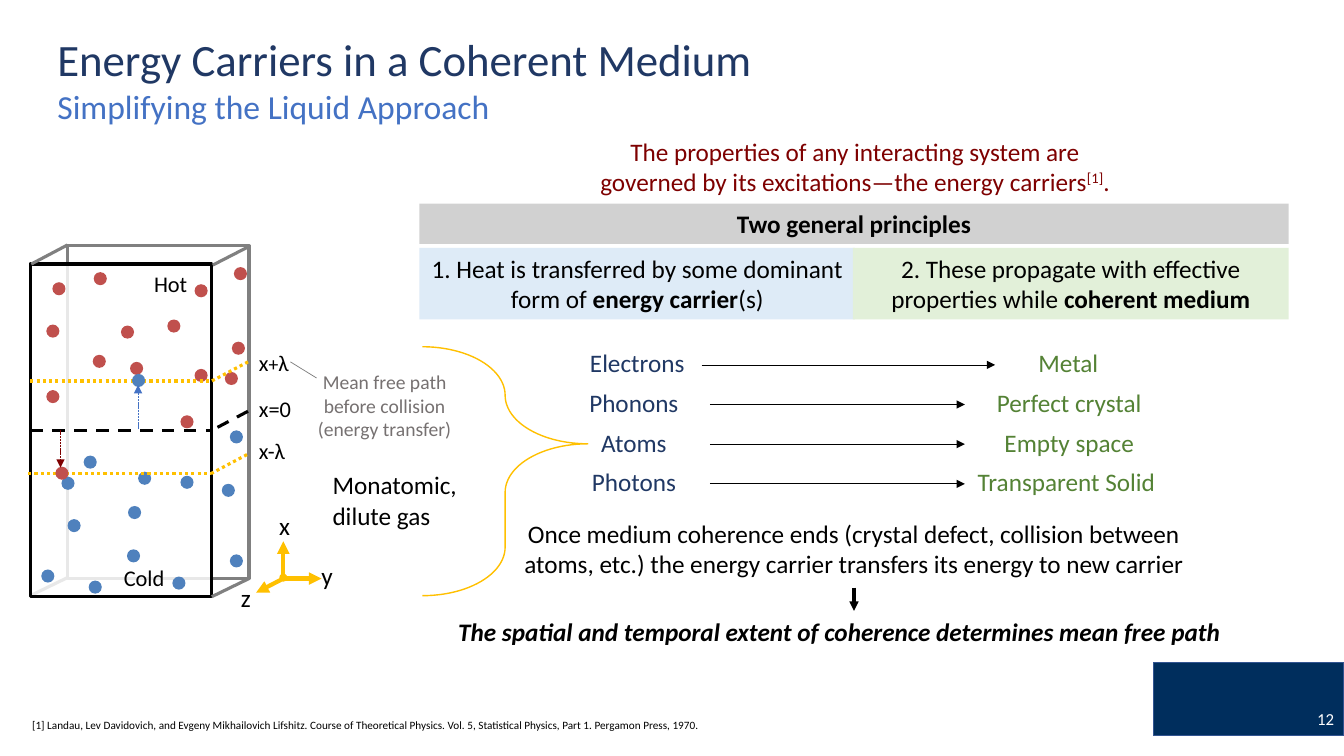
import pptx
import pptx.dml.color
import pptx.enum.dml
import pptx.enum.shapes
import pptx.enum.text
import pptx.oxml.ns
import pptx.util
from lxml import etree

Inches = pptx.util.Inches
Color = pptx.dml.color.RGBColor
Shape = pptx.enum.shapes.MSO_SHAPE
Align = pptx.enum.text.PP_ALIGN
Anchor = pptx.enum.text.MSO_ANCHOR
Dash = pptx.enum.dml.MSO_LINE
qn = pptx.oxml.ns.qn

BLACK = Color(0x00, 0x00, 0x00)
WHITE = Color(0xFF, 0xFF, 0xFF)
NAVY = Color(0x20, 0x38, 0x64)
BLUE = Color(0x44, 0x72, 0xC4)
FOOTER_FILL = Color(0x00, 0x2E, 0x5D)
FOOTER_LINE = Color(0x32, 0x54, 0x91)
MAROON = Color(0x7E, 0x00, 0x00)
GREEN = Color(0x54, 0x82, 0x35)
LIGHT_BLUE = Color(0xDE, 0xEB, 0xF7)
LIGHT_GREEN = Color(0xE2, 0xF0, 0xD9)
GREY = Color(0xA5, 0xA5, 0xA5)
EDGE_GREY = Color(0x80, 0x80, 0x80)
NOTE_GREY = Color(0x76, 0x71, 0x71)
POINTER_GREY = Color(0x7C, 0x7C, 0x7C)
GOLD = Color(0xFF, 0xC0, 0x00)
HOT_RED = Color(0xC0, 0x50, 0x4D)
COLD_BLUE = Color(0x4F, 0x81, 0xBD)

ATOM_SIZE = 0.13
HOT_ATOMS = [(0.52, 2.8), (1.2, 3.23), (0.46, 3.22), (0.93, 2.7), (1.93, 2.82),
             (1.66, 3.17), (1.93, 3.66), (0.92, 3.52), (0.46, 3.87), (1.29, 3.59),
             (1.79, 4.12), (2.32, 2.65), (2.3, 3.39), (2.23, 3.69)]
COLD_ATOMS = [(1.37, 4.68), (1.27, 5.02), (1.79, 4.72), (1.71, 5.72), (1.26, 5.45),
              (0.88, 5.76), (0.83, 4.52), (0.67, 5.15), (0.41, 5.65), (0.61, 4.73),
              (2.28, 5.5), (2.2, 4.8), (2.28, 4.27)]

# carrier, its left and width, medium, its left and width
CARRIERS = [("Electrons", 5.68, 1.28, "Metal", 9.87, 1.45),
            ("Phonons ", 5.59, 1.45, "Perfect crystal", 9.57, 2.07),
            ("Atoms ", 5.59, 1.45, "Empty space", 9.57, 2.07),
            ("Photons ", 5.59, 1.45, "Transparent Solid ", 9.57, 2.07)]
ROW_TOP, ROW_STEP, ROW_HEIGHT = 3.4, 1.18 / 3, 0.44


def write(box, spans, size, color, align=Align.LEFT, anchor=Anchor.TOP, spacing=None):
    """Fill a box with one paragraph; spans is a string or (text, formats) pairs."""
    frame = box.text_frame
    frame.word_wrap = True
    frame.vertical_anchor = anchor
    para = frame.paragraphs[0]
    para.alignment = align
    if spacing:
        para.line_spacing = spacing
    for text, formats in [(spans, {})] if isinstance(spans, str) else spans:
        span = para.add_run()
        span.text = text
        span.font.color.rgb = color
        values = {"name": "Calibri", "size": pptx.util.Pt(size), **formats}
        superscript = values.pop("superscript", False)
        for name, value in values.items():
            setattr(span.font, name, value)
        if superscript:
            span._r.get_or_add_rPr().set("baseline", "30000")


def add_text(shapes, area, spans, size=18, color=BLACK, **layout):
    box = shapes.add_textbox(*map(Inches, area))
    write(box, spans, size, color, **layout)
    return box


def add_figure(shapes, kind, area, fill=None, line=None, width=1, opacity=None):
    figure = shapes.add_shape(kind, *map(Inches, area))
    figure.shadow.inherit = False
    if fill is None:
        figure.fill.background()
    else:
        figure.fill.solid()
        figure.fill.fore_color.rgb = fill
    if opacity:
        tone = figure._element.spPr.find(qn("a:solidFill"))[0]
        etree.SubElement(tone, qn("a:alpha"), val=str(opacity * 1000))
    if line is None:
        figure.line.fill.background()
    else:
        figure.line.color.rgb = line
        figure.line.width = pptx.util.Pt(width)
    return figure


def add_line(shapes, start, end, color, width, dash=None, arrow=False):
    line = shapes.add_connector(pptx.enum.shapes.MSO_CONNECTOR.STRAIGHT,
                                *map(Inches, (*start, *end)))
    line.line.color.rgb = color
    line.line.width = pptx.util.Pt(width)
    if dash:
        line.line.dash_style = dash
    properties = line._element.spPr
    if arrow:
        etree.SubElement(properties.find(qn("a:ln")), qn("a:tailEnd"), type="triangle")
    etree.SubElement(properties, qn("a:effectLst"))
    return line


def add_atoms(shapes, corners, color):
    for corner in corners:
        add_figure(shapes, Shape.OVAL, (*corner, ATOM_SIZE, ATOM_SIZE), color)


def add_principles(shapes):
    bold = {"bold": True}
    panels = [
        ((4.16, 2.46, 4.32, 0.71), LIGHT_BLUE, None,
         [("1. Heat is transferred by some dominant form of ", {}),
          ("energy carrier", bold), ("(s)", {})]),
        ((8.46, 2.46, 4.32, 0.71), LIGHT_GREEN, None,
         [("2. These propagate with effective properties while ", {}),
          ("coherent medium", bold)]),
        ((4.16, 2.02, 8.62, 0.4), GREY, 50, [("Two general principles", bold)]),
    ]
    for area, fill, opacity, spans in panels:
        panel = add_figure(shapes, Shape.RECTANGLE, area, fill, opacity=opacity)
        write(panel, spans, 18, BLACK, Align.CENTER)


def add_carriers(shapes):
    for row, (carrier, left, width, medium, medium_left, medium_width) in enumerate(CARRIERS):
        top = ROW_TOP + row * ROW_STEP
        source = add_text(shapes, (left, top, width, ROW_HEIGHT), carrier,
                          color=NAVY, align=Align.CENTER)
        target = add_text(shapes, (medium_left, top, medium_width, ROW_HEIGHT), medium,
                          color=GREEN, align=Align.CENTER)
        middle = top + ROW_HEIGHT / 2
        arrow = add_line(shapes, (left + width, middle), (medium_left, middle),
                         BLACK, 0.5, arrow=True)
        arrow.begin_connect(source, 3)
        arrow.end_connect(target, 1)


def add_gas_cell(shapes):
    """Draw the box of hot and cold atoms with its planes, labels and axes."""
    add_line(shapes, (0.3, 5.91), (0.67, 5.73), EDGE_GREY, 2.25)
    add_figure(shapes, Shape.RECTANGLE, (0.67, 2.44, 1.8, 3.3), line=EDGE_GREY, width=2.25)
    front = add_figure(shapes, Shape.RECTANGLE, (0.3, 2.62, 1.8, 3.3), WHITE, BLACK, 2.25, 82)
    for start, end in [((2.1, 5.92), (2.47, 5.74)), ((2.11, 2.63), (2.48, 2.44)),
                       ((0.31, 2.62), (0.67, 2.43))]:
        add_line(shapes, start, end, EDGE_GREY, 2.25)
    add_atoms(shapes, HOT_ATOMS, HOT_RED)
    add_atoms(shapes, COLD_ATOMS, COLD_BLUE)

    middle = add_line(shapes, (0.3, 4.27), (2.1, 4.27), BLACK, 2.25, Dash.DASH)
    middle.begin_connect(front, 1)
    middle.end_connect(front, 3)
    add_line(shapes, (2.46, 4.08), (2.1, 4.27), BLACK, 2.25, Dash.DASH)
    for left, right, level in [(0.3, 2.1, 3.78), (0.28, 2.09, 4.7)]:
        add_line(shapes, (left, level), (right, level), GOLD, 2.25, Dash.ROUND_DOT)
        add_line(shapes, (right + 0.36, level - 0.19), (right, level),
                 GOLD, 2.25, Dash.ROUND_DOT)

    for end in [(2.81, 5.37), (3.19, 5.74), (2.54, 5.88)]:
        add_line(shapes, (2.81, 5.74), end, GOLD, 3, arrow=True)
    add_figure(shapes, Shape.OVAL, (2.77, 5.69, 0.08, 0.08), GOLD)

    for area, label, size in [
            ((1.43, 2.63, 0.64, 0.37), "Hot", 16), ((1.13, 5.55, 0.76, 0.37), "Cold", 16),
            ((2.47, 3.87, 0.6, 0.37), "x=0", 16), ((2.47, 4.29, 0.6, 0.37), "x-λ", 16),
            ((2.47, 3.41, 0.6, 0.37),
             [("x", {}), ("+", {"size": pptx.util.Pt(14)}), ("λ", {})], 16),
            ((2.67, 5.01, 0.35, 0.4), "x", 18), ((3.09, 5.51, 0.35, 0.4), "y", 18),
            ((2.29, 5.73, 0.35, 0.4), "z", 18)]:
        add_text(shapes, area, label, size)

    add_atoms(shapes, [(1.31, 3.71)], COLD_BLUE)
    add_atoms(shapes, [(0.55, 4.63)], HOT_RED)
    add_line(shapes, (1.37, 4.26), (1.37, 3.82), BLUE, 0.5, Dash.SQUARE_DOT, True)
    add_line(shapes, (0.6, 4.27), (0.6, 4.64), MAROON, 0.5, Dash.SQUARE_DOT, True)


def main():
    deck = pptx.Presentation()
    deck.slide_width, deck.slide_height = Inches(13.33), Inches(7.5)
    page = deck.slides.add_slide(deck.slide_layouts[6])
    shapes = page.shapes
    center = Align.CENTER

    add_figure(shapes, Shape.RECTANGLE, (11.44, 6.57, 1.89, 0.73), FOOTER_FILL, FOOTER_LINE)
    add_text(shapes, (0.47, 0.3, 9.27, 0.62), "Energy Carriers in a Coherent Medium",
             32, NAVY, anchor=Anchor.MIDDLE, spacing=0.9)
    add_text(shapes, (0.47, 0.78, 5.99, 0.59), "Simplifying the Liquid Approach",
             24, BLUE, anchor=Anchor.MIDDLE, spacing=0.9)
    add_text(shapes, (0.22, 7.07, 10.18, 0.24),
             "[1] Landau, Lev Davidovich, and Evgeny Mikhailovich Lifshitz. Course of Theoretical "
             "Physics. Vol. 5, Statistical Physics, Part 1. Pergamon Press, 1970.",
             8, anchor=Anchor.BOTTOM)
    add_text(shapes, (10.33, 6.93, 3, 0.4), "12", 12, WHITE,
             align=Align.RIGHT, anchor=Anchor.MIDDLE)
    add_text(shapes, (3.2, 4.61, 1.96, 0.71), "Monatomic, dilute gas")

    add_principles(shapes.add_group_shape().shapes)
    add_carriers(shapes)
    add_gas_cell(shapes.add_group_shape().shapes)

    add_text(shapes, (3.04, 3.62, 1.55, 0.81),
             "Mean free path before collision (energy transfer)", 14, NOTE_GREY, align=center)
    add_line(shapes, (2.88, 3.59), (3.14, 3.75), POINTER_GREY, 0.5)
    brace = add_figure(shapes, Shape.RIGHT_BRACE, (4.19, 3.44, 1.64, 2.47), line=GOLD)
    brace.adjustments[0], brace.adjustments[1] = 0.46, 0.39

    ending = add_text(shapes, (5.02, 5.09, 6.9, 0.74),
                      "Once medium coherence ends (crystal defect, collision between atoms, etc.) "
                      "the energy carrier transfers its energy to new carrier", align=center)
    add_text(shapes, (4.27, 6.07, 8.11, 0.4),
             [("The spatial and temporal extent of coherence determines mean free path",
               {"bold": True, "italic": True})], align=center)
    add_line(shapes, (8.47, 5.83), (8.47, 6.06), BLACK, 2.25, arrow=True).begin_connect(ending, 2)
    add_text(shapes, (5.65, 1.3, 5.66, 0.71),
             [("The properties of any interacting system are governed by its "
               "excitations—the energy carriers", {}), ("[1]", {"superscript": True}), (".", {})],
             color=MAROON, align=center)
    deck.save("out.pptx")


if __name__ == "__main__":
    main()
